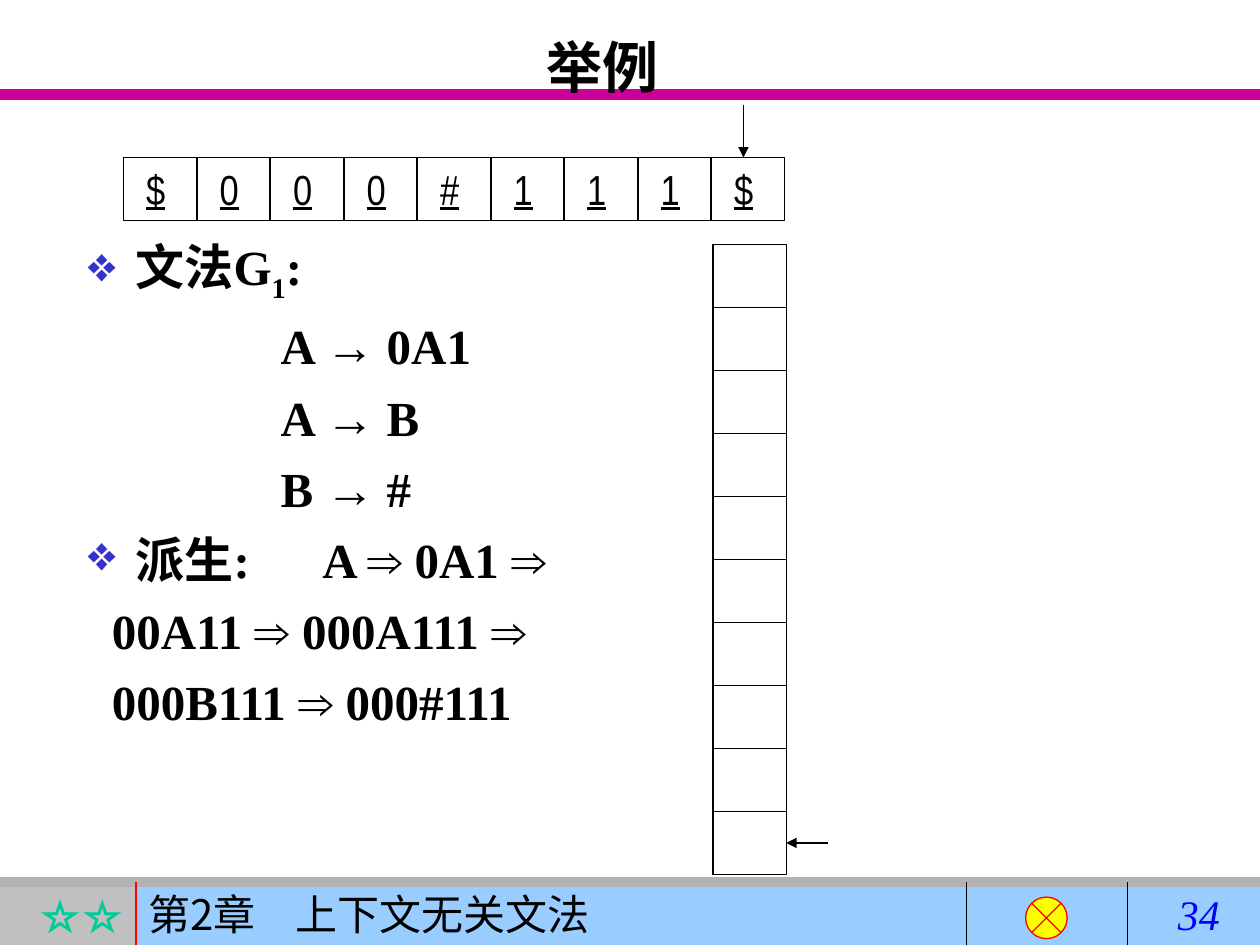
from dataclasses import dataclass

from lxml.etree import SubElement
from pptx import Presentation
from pptx.dml.color import RGBColor
from pptx.enum.shapes import MSO_CONNECTOR as Connector, MSO_SHAPE as Shape
from pptx.enum.text import MSO_ANCHOR as Anchor, PP_ALIGN as Align
from pptx.oxml.ns import qn
from pptx.util import Inches, Pt


@dataclass(frozen=True)
class Theme:
    ink: str = "000000"
    title_rule: str = "CC0099"
    footer_rule: str = "B2B2B2"
    footer_left: str = "C0C0C0"
    footer_main: str = "99CCFF"
    stars: str = "00CC99"
    red: str = "FF0000"
    yellow: str = "FFFF00"
    number: str = "0000FF"
    bullet: str = "3333CC"
    serif: str = "Times New Roman"
    sans: str = "Arial"
    narrow: str = "Arial Narrow"
    chinese: str = "Noto Sans CJK SC"
    title_size: int = 32
    body_size: int = 28
    small_size: int = 24
    thin: float = 0.75
    thick: float = 6


class PageBuilder:
    def __init__(self, page, theme):
        self.page = page
        self.theme = theme

    def line(self, start, end, color, width=None, arrow=False):
        connector = self.page.shapes.add_connector(
            Connector.STRAIGHT, *(Inches(value) for value in (*start, *end)))
        connector.line.color.rgb = RGBColor.from_string(color)
        connector.line.width = Pt(width or self.theme.thin)
        if arrow:
            SubElement(connector.line._get_or_add_ln(), qn("a:tailEnd"), type="triangle")
        SubElement(connector._element.spPr, qn("a:effectLst"))

    def block(self, kind, at, fill=None, outline=None):
        shape = self.page.shapes.add_shape(kind, *map(Inches, at))
        shape.shadow.inherit = False
        if fill:
            shape.fill.solid()
            shape.fill.fore_color.rgb = RGBColor.from_string(fill)
        else:
            shape.fill.background()
        if outline:
            shape.line.color.rgb = RGBColor.from_string(outline)
            shape.line.width = Pt(self.theme.thin)
        else:
            shape.line.fill.background()
        return shape

    def box(self, at):
        box = self.page.shapes.add_textbox(*map(Inches, at))
        box.text_frame.word_wrap = True
        return box

    def style(self, span, font, size, color=None, **looks):
        span.font.name = font
        span.font.size = Pt(size)
        span.font.color.rgb = RGBColor.from_string(color or self.theme.ink)
        for name, value in looks.items():
            setattr(span.font, name, value)
        SubElement(span._r.get_or_add_rPr(), qn("a:ea"), typeface=self.theme.chinese)

    def label(self, shape, text, font, size, color=None, align=Align.LEFT, tab=None, **looks):
        frame = shape.text_frame
        frame.text = text
        frame.vertical_anchor = Anchor.TOP
        para = frame.paragraphs[0]
        para.alignment = align
        if tab:
            self.tab_stop(para, tab)
        self.style(para.runs[0], font, size, color, **looks)

    def tab_stop(self, para, position):
        stops = SubElement(para._p.get_or_add_pPr(), qn("a:tabLst"))
        SubElement(stops, qn("a:tab"), pos=str(Inches(position)), algn="l")

    def bullet(self, para):
        properties = para._p.get_or_add_pPr()
        color = SubElement(properties, qn("a:buClr"))
        SubElement(color, qn("a:srgbClr"), val=self.theme.bullet)
        SubElement(properties, qn("a:buChar"), char="❖")

    def body_line(self, para, spans, margin, bulleted=False, tab=None, subscript=None):
        """Fill one body paragraph; arrows take the sans font."""
        properties = para._p.get_or_add_pPr()
        properties.set("marL", str(Inches(margin)))
        properties.set("indent", str(Inches(-margin if bulleted else 0)))
        if bulleted:
            self.bullet(para)
        if tab:
            self.tab_stop(para, tab)
        for text in spans:
            span = para.add_run()
            span.text = text
            font = self.theme.sans if text in ("→", "⇒") else self.theme.serif
            self.style(span, font, self.theme.body_size, bold=True)
            if text == subscript:
                span._r.get_or_add_rPr().set("baseline", "-25000")


def add_frame(builder):
    theme = builder.theme
    builder.line((0, 0.75), (10, 0.75), theme.title_rule, theme.thick)
    stars = builder.block(Shape.RECTANGLE, (0, 7, 1.08, 0.5), theme.footer_left)
    builder.label(stars, "☆☆", theme.serif, theme.small_size, theme.stars,
                  Align.RIGHT, bold=True)
    chapter = builder.block(Shape.RECTANGLE, (1.08, 7, 8.92, 0.5), theme.footer_main)
    builder.label(chapter, "第2章\t上下文无关文法", theme.chinese, theme.small_size, tab=1.17)
    builder.line((0, 7), (10, 7), theme.footer_rule, theme.thick)
    for x, color in ((1.08, theme.red), (7.67, theme.ink), (8.95, theme.ink)):
        builder.line((x, 7), (x, 7.5), color)
    builder.block(Shape.FLOWCHART_SUMMING_JUNCTION, (8.14, 7.12, 0.33, 0.33),
                  theme.yellow, theme.red)
    builder.label(builder.box((9.25, 7, 0.75, 0.5)), "34", theme.serif,
                  theme.small_size, theme.number, italic=True)
    builder.label(builder.box((0.53, 0.21, 8.5, 1.25)), "举例", theme.serif,
                  theme.title_size, align=Align.CENTER, bold=True)


def add_grammar(builder):
    rule = {"margin": 1.53}
    step = {"margin": 0.19}
    heading = {"margin": 0.38, "bulleted": True}
    lines = [
        (("文法G", "1", ":"), {**heading, "subscript": "1"}),
        (("A ", "→", " 0A1"), rule),
        (("A ", "→", " B"), rule),
        (("B ", "→", " #"), rule),
        (("派生:\tA ", "⇒", " 0A1 ", "⇒"), {**heading, "tab": 1.86}),
        (("00A11 ", "⇒", " 000A111 ", "⇒"), step),
        (("000B111 ", "⇒", " 000#111"), step),
    ]
    frame = builder.box((0.6, 1.83, 8.5, 5.08)).text_frame
    for index, (spans, layout) in enumerate(lines):
        para = frame.add_paragraph() if index else frame.paragraphs[0]
        if index:
            para.space_before = Pt(7)
        builder.body_line(para, spans, **layout)


def add_tape_and_stack(builder):
    theme = builder.theme
    cell_width, cell_height = 0.58, 0.5
    tape_left, tape_top, tape_pitch = 0.98, 1.25, 7 / 12
    for column, symbol in enumerate("$000#111$"):
        cell = builder.block(
            Shape.RECTANGLE,
            (tape_left + column * tape_pitch, tape_top, cell_width, cell_height),
            outline=theme.ink)
        cell.text_frame.margin_left = Inches(0.18)
        cell.text_frame.margin_right = 0
        builder.label(cell, symbol, theme.narrow, theme.small_size, underline=True)
    builder.line((5.9, 0.83), (5.9, tape_top), theme.ink, arrow=True)

    stack_left, stack_top, depth = 5.66, 1.94, 10
    for row in range(depth):
        builder.block(Shape.RECTANGLE,
                      (stack_left, stack_top + row * cell_height, cell_width, cell_height),
                      outline=theme.ink)
    pointer_y = stack_top + (depth - 0.5) * cell_height
    builder.line((6.57, pointer_y), (stack_left + cell_width, pointer_y),
                 theme.ink, arrow=True)


def main():
    deck = Presentation()
    deck.slide_width, deck.slide_height = Inches(10), Inches(7.5)
    builder = PageBuilder(deck.slides.add_slide(deck.slide_layouts[6]), Theme())
    add_frame(builder)
    add_grammar(builder)
    add_tape_and_stack(builder)
    deck.save("out.pptx")


if __name__ == "__main__":
    main()
